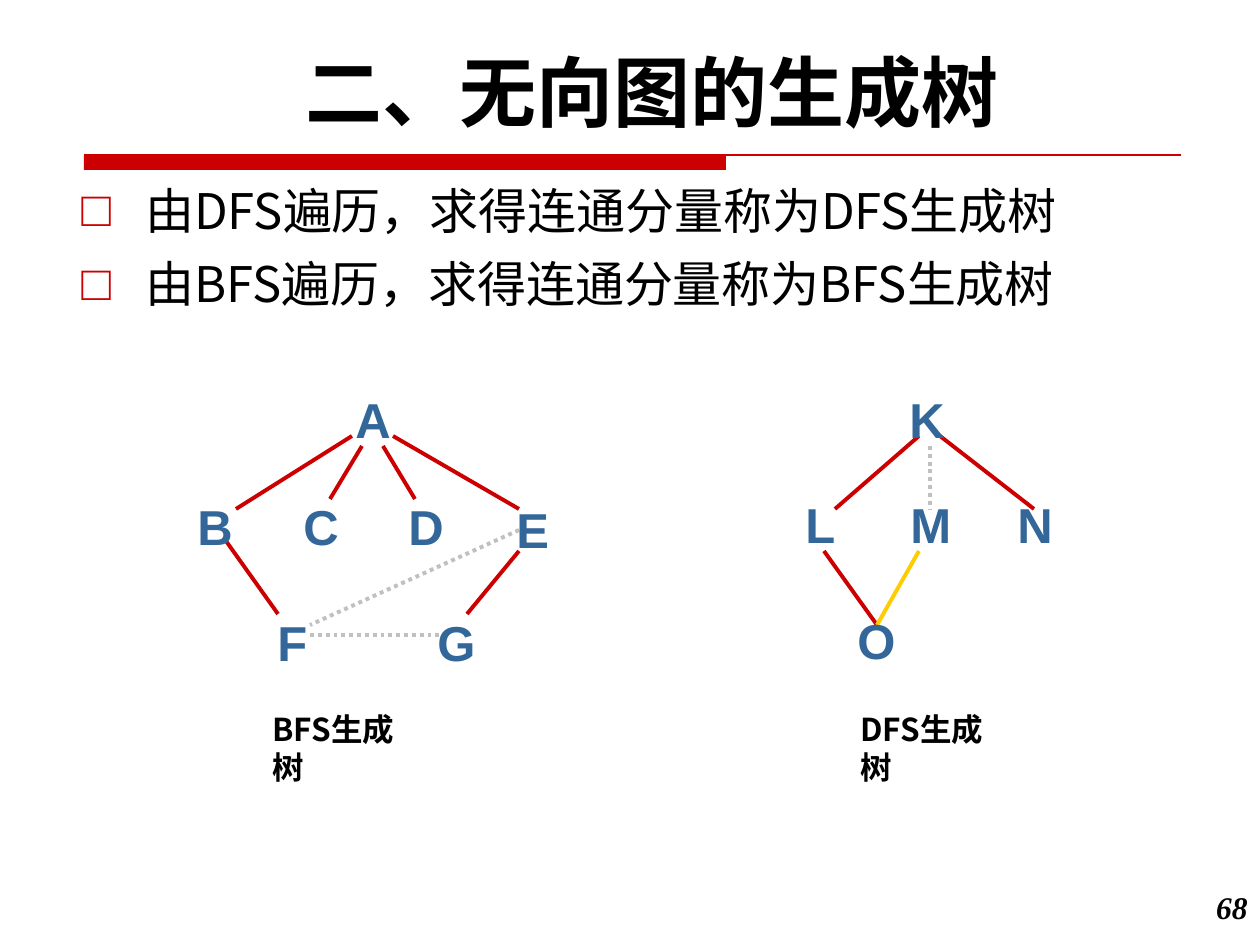
from typing import NamedTuple

from lxml import etree
from pptx import Presentation, util as u
from pptx.dml.color import RGBColor
from pptx.enum import dml, shapes, text
from pptx.oxml.ns import qn

PX = 914400 / 126
COLORS = {"red": "CC0000", "yellow": "FFCC00", "gray": "C0C0C0",
          "blue": "336699", "black": "000000"}
CJK = "Noto Sans CJK SC"
NODE_HEIGHT = 72


class Node(NamedTuple):
    label: str
    left: int
    top: int
    width: int


class Edge(NamedTuple):
    x1: int
    y1: int
    x2: int
    y2: int
    color: str = "red"


class Caption(NamedTuple):
    label: str
    left: int


NODES = [
    # BFS tree
    Node("A", 343, 383, 60), Node("B", 185, 490, 60), Node("C", 291, 490, 60),
    Node("D", 396, 490, 60), Node("E", 504, 493, 58), Node("F", 265, 606, 55),
    Node("G", 425, 606, 63),
    # DFS tree
    Node("K", 897, 383, 60), Node("L", 793, 488, 55), Node("M", 898, 488, 67),
    Node("N", 1005, 488, 60), Node("O", 845, 604, 63),
]
EDGES = [
    # DFS tree: L-O, M-O, K-N, K-L, K-M
    Edge(824, 551, 877, 625), Edge(919, 551, 877, 625, "yellow"),
    Edge(940, 436, 1034, 509), Edge(919, 436, 835, 509),
    Edge(930, 446, 930, 509, "gray"),
    # BFS tree: E-F, F-G, B-F, E-G, A-E, A-D, A-C, A-B
    Edge(519, 530, 310, 625, "gray"), Edge(310, 635, 446, 635, "gray"),
    Edge(226, 541, 278, 614), Edge(519, 551, 467, 614),
    Edge(393, 436, 519, 509), Edge(383, 446, 415, 499),
    Edge(362, 446, 330, 499), Edge(352, 436, 236, 509),
]
CAPTIONS = [Caption("BFS生成树", 260), Caption("DFS生成树", 848)]
POINTS = ["由DFS遍历，求得连通分量称为DFS生成树",
          "由BFS遍历，求得连通分量称为BFS生成树"]


def px(length: int) -> int:
    return round(length * PX)


def rgb(name: str) -> RGBColor:
    return RGBColor.from_string(COLORS[name])


def format_runs(paragraph, size: int, font: str, color: str = "black",
                bold: bool = False, italic: bool = False) -> None:
    for run in paragraph.runs:
        run.font.size = u.Pt(size)
        run.font.name = font
        run.font.bold = bold
        run.font.italic = italic
        run.font.color.rgb = rgb(color)
        east_asian = etree.Element(qn("a:ea"), typeface=CJK)
        run.font._element.find(qn("a:latin")).addnext(east_asian)


def add_label(slide, label: str, left: int, top: int, width: int, height: int,
              wrap: bool = True):
    box = slide.shapes.add_textbox(px(left), px(top), px(width), px(height))
    box.text_frame.word_wrap = wrap
    box.text_frame.text = label
    return box.text_frame


def add_line(slide, edge: Edge, width: float = 2.25) -> None:
    line = slide.shapes.add_connector(
        shapes.MSO_CONNECTOR.STRAIGHT,
        px(edge.x1), px(edge.y1), px(edge.x2), px(edge.y2))
    line.line.color.rgb = rgb(edge.color)
    line.line.width = u.Pt(width)
    if edge.color == "gray":
        line.line.dash_style = dml.MSO_LINE.ROUND_DOT
    etree.SubElement(line._element.spPr, qn("a:effectLst"))


def add_bullet(paragraph) -> None:
    properties = paragraph._p.get_or_add_pPr()
    properties.set("marL", str(px(64)))
    properties.set("indent", str(-px(64)))
    color = etree.SubElement(properties, qn("a:buClr"))
    etree.SubElement(color, qn("a:srgbClr"), val=COLORS["red"])
    etree.SubElement(properties, qn("a:buFont"), typeface="Arial")
    etree.SubElement(properties, qn("a:buChar"), char="□")


def main() -> None:
    prs = Presentation()
    prs.slide_width, prs.slide_height = px(1260), px(945)
    slide = prs.slides.add_slide(prs.slide_layouts[5])

    # Title
    title = slide.shapes.title
    title.left, title.top, title.width, title.height = map(px, (69, 49, 1166, 97))
    title.text_frame.text = "二、无向图的生成树"
    title.text_frame.vertical_anchor = text.MSO_ANCHOR.TOP
    title.text_frame.auto_size = text.MSO_AUTO_SIZE.NONE
    heading = title.text_frame.paragraphs[0]
    heading.alignment = text.PP_ALIGN.CENTER
    heading.line_spacing = 0.9
    format_runs(heading, 44, "Karla", bold=True)

    # Rule under the title
    bar = slide.shapes.add_shape(shapes.MSO_SHAPE.RECTANGLE,
                                 px(84), px(155), px(642), px(15))
    bar.shadow.inherit = False
    bar.fill.solid()
    bar.fill.fore_color.rgb = rgb("red")
    bar.line.fill.background()
    add_line(slide, Edge(84, 155, 1181, 155), 0.75)

    # Bullet points
    body = add_label(slide, "\n".join(POINTS), 69, 174, 1207, 170)
    for index, point in enumerate(body.paragraphs):
        add_bullet(point)
        if index:
            point.space_before = u.Pt(8.4)
        format_runs(point, 28, CJK)

    # Spanning trees
    for edge in EDGES:
        add_line(slide, edge)
    for node in NODES:
        frame = add_label(slide, node.label, node.left, node.top, node.width,
                          NODE_HEIGHT, wrap=False)
        format_runs(frame.paragraphs[0], 28, "Arial", "blue", bold=True)
    for caption in CAPTIONS:
        frame = add_label(slide, caption.label, caption.left, 704, 170, 50)
        format_runs(frame.paragraphs[0], 18, CJK, bold=True)

    # Page number
    number = add_label(slide, "68", 1176, 882, 84, 63).paragraphs[0]
    number.alignment = text.PP_ALIGN.RIGHT
    format_runs(number, 18, "Times New Roman", bold=True, italic=True)

    prs.save("out.pptx")


if __name__ == "__main__":
    main()
